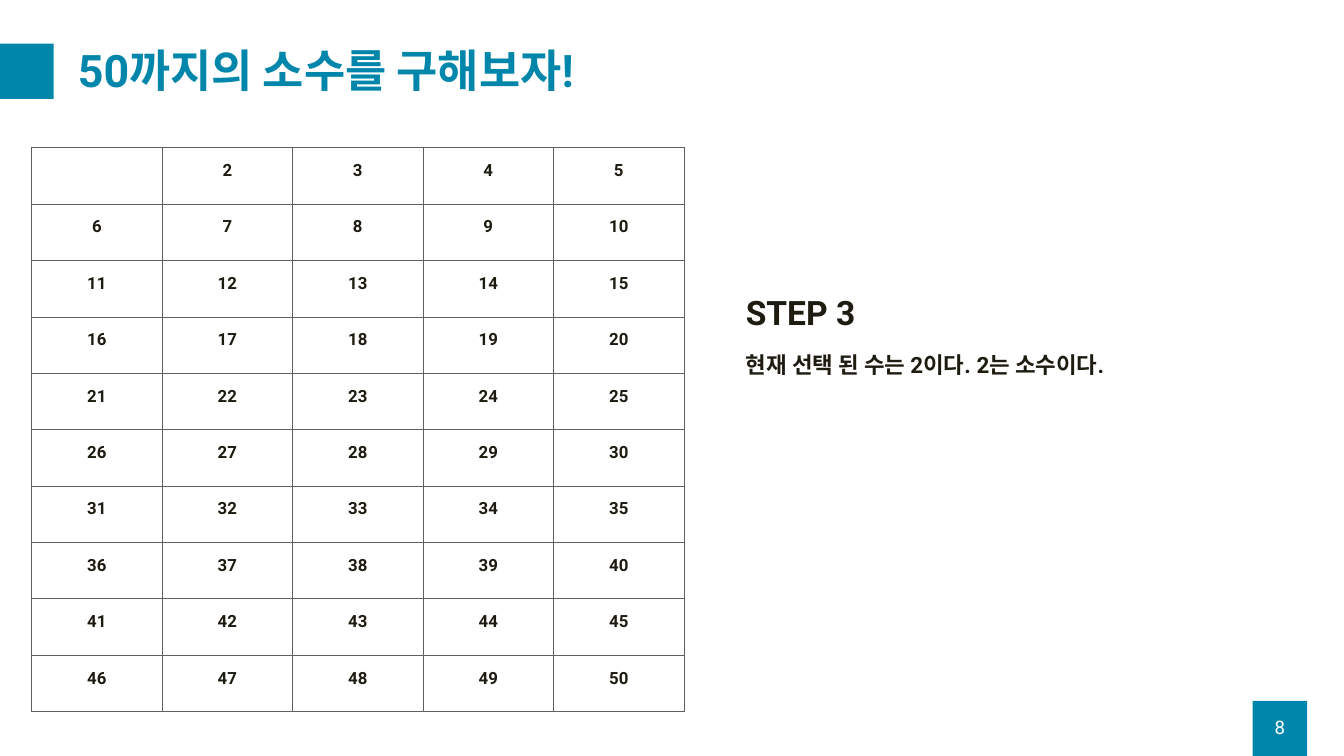
from pptx import Presentation
from pptx import util as u
from pptx.dml.color import RGBColor
from pptx.enum import shapes, text
from pptx.oxml import parse_xml
from pptx.oxml.ns import nsdecls

TEAL, INK, WHITE, GRID = "0086AB", "1E1C11", "FFFFFF", "5F5F5F"


def rgb(value):
    return RGBColor.from_string(value)


class Deck:
    font = "Roboto"

    def __init__(self, prs):
        self.s = prs.slides.add_slide(prs.slide_layouts[6])

    def box(self, *at):
        return [u.Inches(n) for n in at]

    def add_run(self, tf, content, size, color, bold=True, align=None, spacing=None):
        p = tf.paragraphs[0]
        p.alignment = align
        p.line_spacing = spacing
        r = p.add_run()
        r.text = content
        r.font.name = self.font
        r.font.size = u.Pt(size)
        r.font.bold = bold
        r.font.color.rgb = rgb(color)

    def rect(self, at, color):
        sp = self.s.shapes.add_shape(shapes.MSO_SHAPE.RECTANGLE, *self.box(*at))
        sp.shadow.inherit = False
        sp.fill.solid()
        sp.fill.fore_color.rgb = rgb(color)
        sp.line.fill.background()

    def label(self, at, content, size, color, anchor=text.MSO_ANCHOR.TOP, **style):
        tf = self.s.shapes.add_textbox(*self.box(*at)).text_frame
        tf.word_wrap = True
        tf.vertical_anchor = anchor
        self.add_run(tf, content, size, color, **style)

    def border(self, cell, color, width):
        tc_pr = cell._tc.get_or_add_tcPr()
        for side in ("lnL", "lnR", "lnT", "lnB"):
            tc_pr.append(parse_xml(
                f'<a:{side} {nsdecls("a")} w="{u.Pt(width)}"><a:solidFill>'
                f'<a:srgbClr val="{color}"/></a:solidFill></a:{side}>'))

    def number_table(self, at, rows, cols, skip):
        table = self.s.shapes.add_table(rows, cols, *self.box(*at)).table
        table.first_row = table.horz_banding = False
        for i, cell in enumerate(table.iter_cells(), start=1):
            self.border(cell, GRID, 1)
            cell.fill.background()
            if i not in skip:
                self.add_run(cell.text_frame, str(i), 18, INK,
                             align=text.PP_ALIGN.CENTER, spacing=1.5)


def main():
    prs = Presentation()
    prs.slide_width, prs.slide_height = u.Inches(20), u.Inches(11.25)
    deck = Deck(prs)
    middle = text.MSO_ANCHOR.MIDDLE

    deck.rect((18.64, 10.43, 0.81, 0.82), TEAL)
    deck.rect((-0.01, 0.65, 0.81, 0.82), TEAL)
    deck.label((1.06, 0.5, 18.25, 1.18), "50까지의 소수를 구해보자!", 48, TEAL,
               anchor=middle, spacing=0.9)
    deck.label((18.64, 10.52, 0.81, 0.6), "8", 20, WHITE,
               anchor=middle, bold=False, align=text.PP_ALIGN.CENTER)
    deck.number_table((0.47, 2.2, 9.71, 8.39), rows=10, cols=5, skip={1})
    deck.label((11, 4.29, 8.44, 0.71), "STEP 3", 36, INK)
    deck.label((11, 5.17, 8.44, 0.5), "현재 선택 된 수는 2이다. 2는 소수이다.", 24, INK)

    prs.save("out.pptx")


if __name__ == "__main__":
    main()
